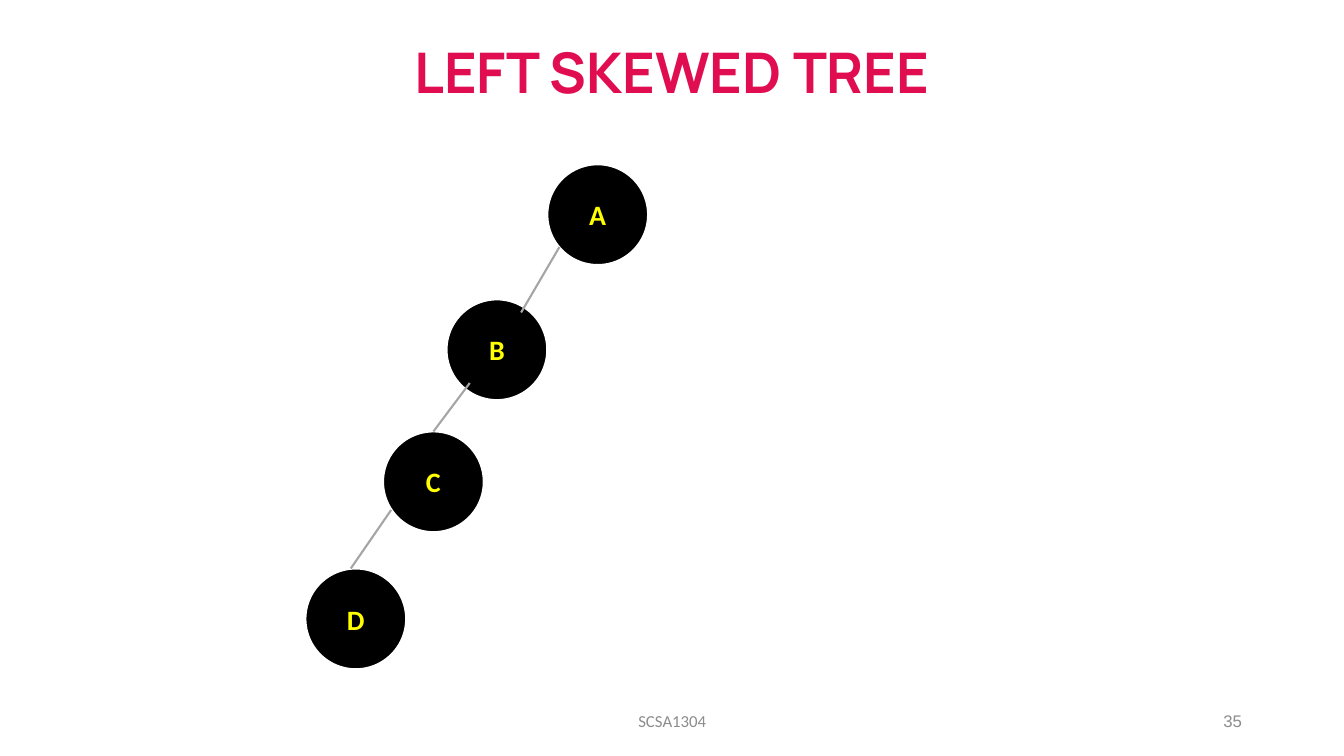
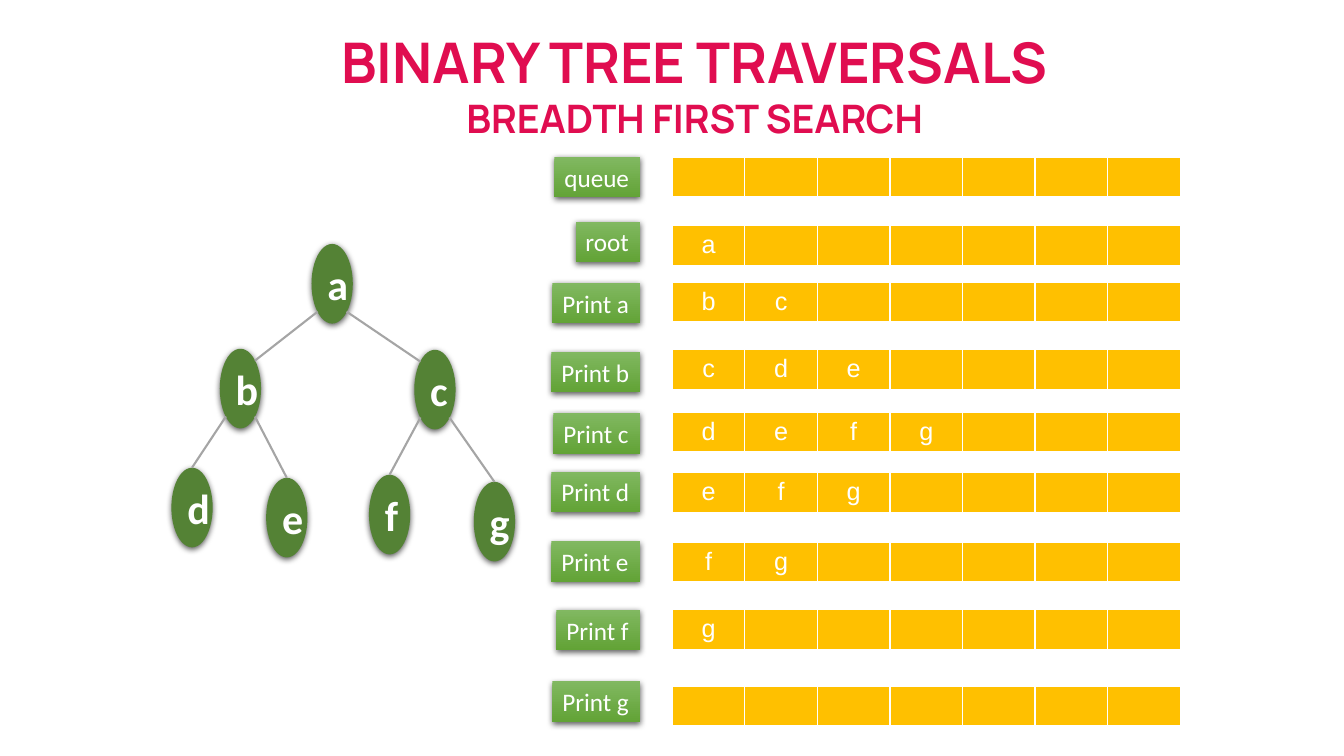
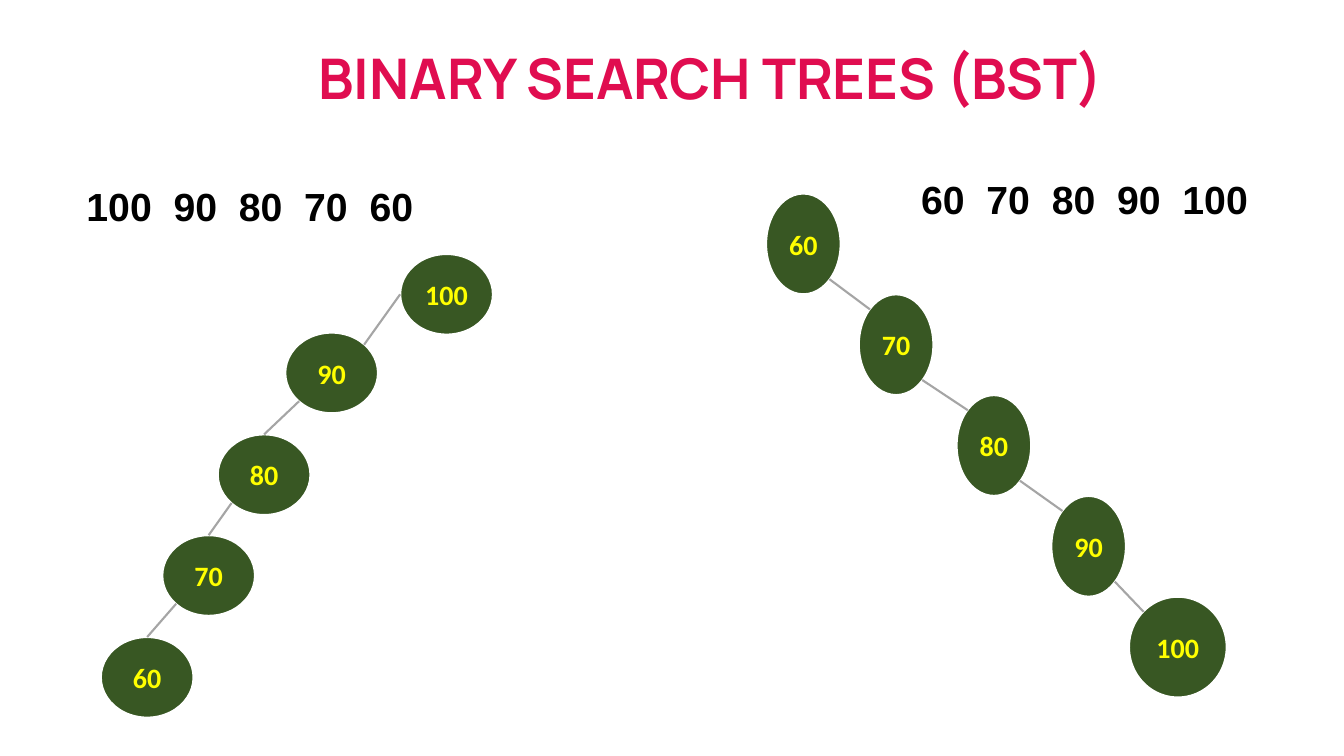
import pptx
import pptx.chart.data
import pptx.dml.color
import pptx.enum.shapes
import pptx.enum.text
import pptx.oxml.ns
import pptx.util
from lxml import etree

SHAPE = pptx.enum.shapes.MSO_SHAPE
ALIGN = pptx.enum.text.PP_ALIGN
ANCHOR = pptx.enum.text.MSO_ANCHOR
qn = pptx.oxml.ns.qn

DIAGONAL = 0.15  # share of an ellipse's box where its diagonal meets the rim
SITES = {
    "n": (0.5, 0), "w": (0, 0.5),
    "nw": (DIAGONAL, DIAGONAL), "ne": (1 - DIAGONAL, DIAGONAL),
    "sw": (DIAGONAL, 1 - DIAGONAL), "se": (1 - DIAGONAL, 1 - DIAGONAL),
}


def rgb(code):
    return pptx.dml.color.RGBColor.from_string(code)


def grid(cells):
    """Turn columns or rows, ten to the inch, into a length."""
    return pptx.util.Inches(cells / 10)


def write(frame, text, size=18, font="Calibri", color="FFFFFF", bold=False,
          align=ALIGN.CENTER, spacing=None, tabs=()):
    """Add one paragraph; tabs are stops in grid columns."""
    paragraph = frame.add_paragraph() if frame.text else frame.paragraphs[0]
    if tabs:
        stops = etree.SubElement(paragraph._p.get_or_add_pPr(), qn("a:tabLst"))
        for stop in tabs:
            etree.SubElement(stops, qn("a:tab"), pos=str(grid(stop)), algn="l")
    paragraph.alignment = align
    paragraph.line_spacing = spacing
    run = paragraph.add_run()
    run.text = text
    run.font.size = pptx.util.Pt(size)
    run.font.name = font
    run.font.bold = bold
    run.font.color.rgb = rgb(color)


class Deck:
    TITLE = {"font": "Manrope", "color": "E00D50", "bold": True}
    EDGE = "A5A5A5"
    QUEUE = "FFC000"
    LABEL = ("81B861", "62A336")
    FOOTER = "8C8C8C"
    DIGIT = 2.16  # columns taken by one 28-point digit

    def __init__(self):
        self.file = pptx.Presentation()
        self.file.slide_width = grid(133.33)
        self.file.slide_height = grid(75)

    def new_slide(self):
        self.slide = self.file.slides.add_slide(self.file.slide_layouts[6])

    def text_box(self, left, top, width, height, anchor=ANCHOR.TOP):
        box = self.slide.shapes.add_textbox(*map(grid, (left, top, width, height)))
        box.text_frame.word_wrap = True
        box.text_frame.vertical_anchor = anchor
        return box.text_frame

    def title(self, text, *place, subtitle=None, anchor=ANCHOR.TOP, spacing=None):
        frame = self.text_box(*place, anchor=anchor)
        write(frame, text, size=40, spacing=spacing, **self.TITLE)
        if subtitle:
            write(frame, subtitle, size=28, **self.TITLE)

    def footer(self, course, number):
        write(self.text_box(44.2, 69.5, 45, 4, ANCHOR.MIDDLE), course,
              size=12, color=self.FOOTER)
        write(self.text_box(94.2, 69.5, 30, 4, ANCHOR.MIDDLE), number,
              size=12, font="Arial", color=self.FOOTER, align=ALIGN.RIGHT)

    def key_list(self, keys, left, top):
        """Write keys in a row, one digit's width apart."""
        stops, reach = [], 0
        for key in keys[:-1]:
            reach += (len(key) + 1) * self.DIGIT
            stops.append(reach)
        write(self.text_box(left, top, 35.4, 5.7), "\t".join(keys), size=28,
              font="Arial", color="000000", bold=True, align=ALIGN.LEFT, tabs=stops)

    def drop_shadow(self, shape):
        effects = shape._element.spPr.find(qn("a:effectLst"))
        shadow = etree.SubElement(effects, qn("a:outerShdw"), blurRad="57150",
                                  dist="19050", dir="5400000", algn="ctr", rotWithShape="0")
        color = etree.SubElement(shadow, qn("a:srgbClr"), val="000000")
        etree.SubElement(color, qn("a:alpha"), val="63000")

    def node(self, text, left, top, width, height, fill, color="FFFF00", size=20, raised=False):
        """Draw a tree node; a raised one has a shadow in place of its outline."""
        node = self.slide.shapes.add_shape(
            SHAPE.OVAL, *map(grid, (left, top, width, height)))
        node.fill.solid()
        node.fill.fore_color.rgb = rgb(fill)
        node.shadow.inherit = False
        if raised:
            node.line.fill.background()
            self.drop_shadow(node)
        else:
            node.line.color.rgb = rgb("FFFFFF")
            node.line.width = pptx.util.Pt(1.5)
        write(node.text_frame, text, size=size, color=color, bold=True)
        return node

    def edge(self, parent, start, child, end):
        """Join two nodes at named sites, or at shares of a node's box."""
        ends = []
        for node, site in ((parent, start), (child, end)):
            across, down = SITES.get(site, site)
            ends += [int(node.left + across * node.width),
                     int(node.top + down * node.height)]
        line = self.slide.shapes.add_connector(
            pptx.enum.shapes.MSO_CONNECTOR.STRAIGHT, *ends)
        line.line.color.rgb = rgb(self.EDGE)
        line.line.width = pptx.util.Pt(1.5)
        etree.SubElement(line._element.spPr, qn("a:effectLst"))

    def tree(self, places, edges, width, height, **style):
        """Draw nodes from {text: (left, top[, width])} and the edges between them."""
        nodes = {}
        for text, (left, top, *own_width) in places.items():
            nodes[text] = self.node(text, left, top, *(own_width or [width]), height, **style)
        for parent, start, child, end in edges:
            self.edge(nodes[parent], start, nodes[child], end)

    def step_label(self, text, right, top, width):
        label = self.slide.shapes.add_shape(
            SHAPE.RECTANGLE, *map(grid, (right - width, top, width, 4)))
        label.fill.gradient()
        label.fill.gradient_angle = 270
        for stop, color in zip(label.fill.gradient_stops, self.LABEL):
            stop.color.rgb = rgb(color)
        label.line.fill.background()
        label.shadow.inherit = False
        self.drop_shadow(label)
        label.text_frame.word_wrap = False
        write(label.text_frame, text, align=ALIGN.LEFT)

    def queue(self, letters, left, top, slots=7):
        table = self.slide.shapes.add_table(
            1, slots, *map(grid, (left, top, 7.2 * slots, 4.05))).table
        table.first_row = table.horz_banding = False
        for slot, cell in enumerate(table.rows[0].cells):
            for side, points in (("L", 1), ("R", 1), ("T", 1), ("B", 3)):
                border = etree.SubElement(cell._tc.get_or_add_tcPr(), qn("a:ln" + side),
                                          w=str(pptx.util.Pt(points)))
                paint = etree.SubElement(border, qn("a:solidFill"))
                etree.SubElement(paint, qn("a:srgbClr"), val="FFFFFF")
            cell.fill.solid()
            cell.fill.fore_color.rgb = rgb(self.QUEUE)
            if slot < len(letters):
                write(cell.text_frame, letters[slot], font="Arial")


def left_skewed_tree(deck):
    deck.new_slide()
    deck.title("LEFT SKEWED TREE", 13.2, 0.2, 106.9, 14.5, anchor=ANCHOR.MIDDLE, spacing=0.9)
    deck.footer("SCSA1304", "35")
    deck.tree(
        {"A": (54.3, 16.3), "B": (44.3, 29.7), "C": (38, 42.8), "D": (30.3, 56.4)},
        [("A", (0.12, 0.82), "B", (0.74, 0.13)),
         ("B", (0.23, 0.83), "C", "n"),
         ("C", (0.08, 0.78), "D", (0.45, 0))],
        10, 10, fill="000000")


def breadth_first_search(deck):
    deck.new_slide()
    deck.title("BINARY TREE TRAVERSALS", 10.8, 2.2, 116.2, 12.5,
               subtitle="BREADTH FIRST SEARCH")
    deck.tree(
        {"a": (30.9, 24.2), "b": (21.8, 34.6), "c": (41.1, 34.7), "d": (17, 46.4),
         "e": (26.4, 47.4), "f": (36.6, 47.1), "g": (47, 47.8)},
        [("a", "sw", "b", "ne"), ("a", "se", "c", "nw"),
         ("b", "sw", "d", "n"), ("b", "se", "e", "n"),
         ("c", "sw", "f", "n"), ("c", "se", "g", "n")],
        4.1, 7.9, fill="548235", color="FFFFFF", size=30, raised=True)
    steps = [
        ("queue", 8.5, 15.6, "", 15.6), ("root", 6.4, 22, "a", 22.4),
        ("Print a", 8.7, 28.1, "bc", 28), ("Print b", 8.8, 34.9, "cde", 34.7),
        ("Print c", 8.6, 41, "defg", 40.9), ("Print d", 8.8, 46.8, "efg", 46.9),
        ("Print e", 8.8, 53.7, "fg", 53.8), ("Print f", 8.3, 60.5, "g", 60.5),
        ("Print g", 8.7, 67.6, "", 68.1),
    ]
    for step, width, label_top, letters, queue_top in steps:
        deck.queue(letters, 66.7, queue_top)
        deck.step_label(step, 63.5, label_top, width)


def binary_search_trees(deck):
    deck.new_slide()
    deck.title("BINARY SEARCH TREES (BST)", 12.4, 3.8, 116.2, 7.7)
    falling = ["100", "90", "80", "70", "60"]
    rising = falling[::-1]
    links = list(zip(falling, falling[1:]))
    deck.tree(
        dict(zip(falling, [(39.7, 25.2), (28.3, 33), (21.6, 43.1), (16.1, 53.1), (10, 63.2)])),
        [(falling[0], "w", falling[1], "ne")]
        + [(parent, "sw", child, "n") for parent, child in links[1:]],
        9.2, 8, fill="385723")
    deck.tree(
        dict(zip(rising, [(76, 19.2), (85.2, 29.2), (94.9, 39.2), (104.3, 49.2),
                          (112, 59.2, 9.7)])),
        [(parent, "se", child, "nw") for parent, child in zip(rising, rising[1:])],
        7.4, 10, fill="385723")
    deck.key_list(falling, 7.6, 17.6)
    deck.key_list(rising, 90.4, 16.9)


def main():
    deck = Deck()
    left_skewed_tree(deck)
    breadth_first_search(deck)
    binary_search_trees(deck)
    deck.file.save("out.pptx")


if __name__ == "__main__":
    main()
